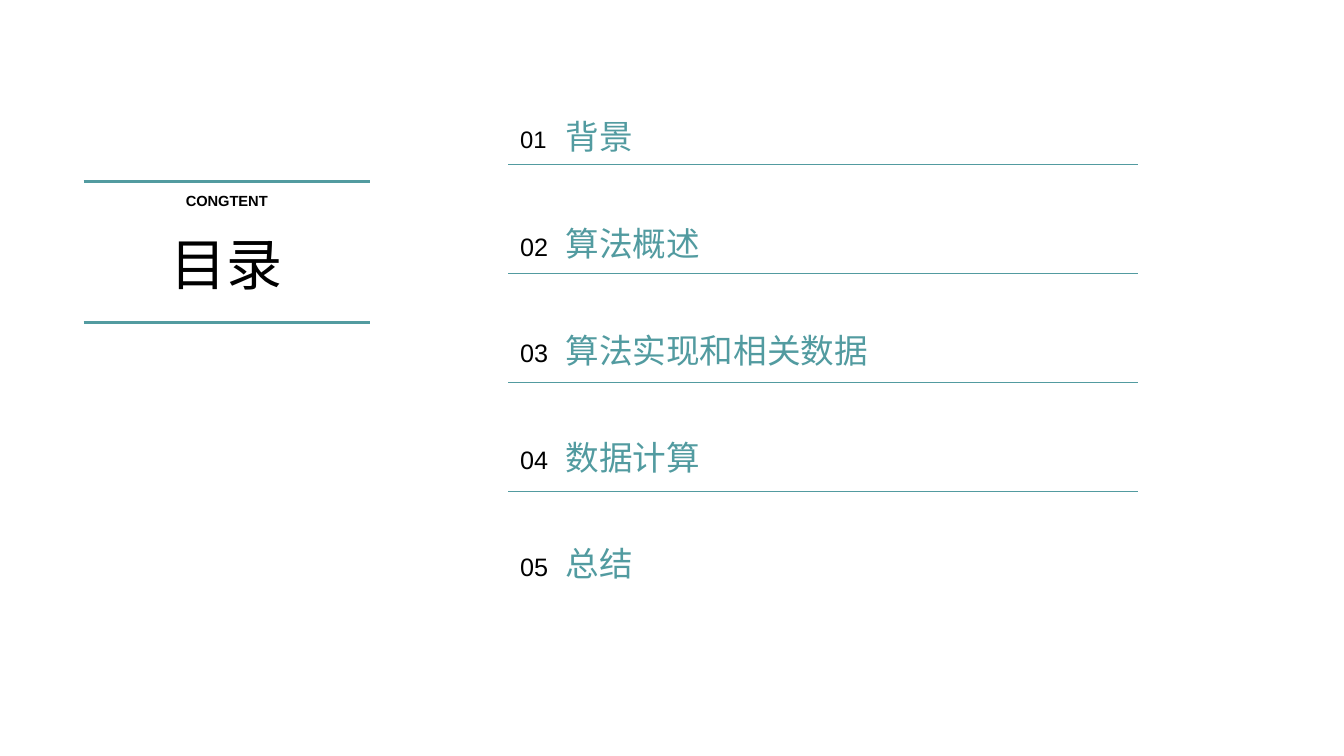
from pptx import Presentation
from pptx.dml.color import RGBColor
from pptx.enum import shapes, text
from pptx.oxml import ns, parse_xml
from pptx.util import Inches, Pt

COLOURS = {"teal": "529BA0", "black": "000000"}
FONT = "Arial"
TOPICS = ["背景", "算法概述", "算法实现和相关数据", "数据计算", "总结"]
TEXT_STEP = 1.06
RULE_STEP = 1.08

deck = Presentation()
deck.slide_width, deck.slide_height = Inches(13.33), Inches(7.5)
page = deck.slides.add_slide(deck.slide_layouts[5])


def write(words, at, size, colour="black", bold=False, align=text.PP_ALIGN.LEFT,
          anchor=text.MSO_ANCHOR.TOP, margins=(0, 0), box=None):
    """Write words in the given box, or in a new text box, placed at `at`."""
    left, top, width, height = [Inches(value) for value in at]
    if box is None:
        box = page.shapes.add_textbox(left, top, width, height)
    box.left, box.top, box.width, box.height = left, top, width, height
    frame = box.text_frame
    frame.word_wrap = True
    frame.auto_size = text.MSO_AUTO_SIZE.NONE
    frame.vertical_anchor = anchor
    frame.margin_left = frame.margin_right = Inches(margins[0])
    frame.margin_top = frame.margin_bottom = Inches(margins[1])
    para = frame.paragraphs[0]
    para.alignment = align
    span = para.add_run()
    span.text = words
    span.font.name, span.font.size, span.font.bold = FONT, Pt(size), bold
    span.font.color.rgb = RGBColor.from_string(COLOURS[colour])


def rule(left, right, top, weight):
    """Draw a horizontal teal line without a shadow."""
    line = page.shapes.add_connector(shapes.MSO_CONNECTOR.STRAIGHT, Inches(left),
                                     Inches(top), Inches(right), Inches(top))
    line.line.color.rgb = RGBColor.from_string(COLOURS["teal"])
    line.line.width = Pt(weight)
    line._element.spPr.append(parse_xml(f"<a:effectLst {ns.nsdecls('a')}/>"))


# Heading between two thick rules
write("目录", (0.81, 2.16, 2.87, 0.9), 40, align=text.PP_ALIGN.CENTER,
      anchor=text.MSO_ANCHOR.MIDDLE, box=page.shapes.title)
write("CONGTENT", (1.68, 1.85, 1.14, 0.28), 10.5, bold=True,
      align=text.PP_ALIGN.CENTER, margins=(0.1, 0.05))
rule(0.83, 3.67, 1.8, 1.75)
rule(0.83, 3.67, 3.2, 2.5)

# Numbered topics, with a thin rule after each but the last
for index, topic in enumerate(TOPICS):
    shift = index * TEXT_STEP
    write(f"{index + 1:02d}", (5.16, 1.24 + shift, 0.3, 0.28),
          17 if index == 0 else 18, anchor=text.MSO_ANCHOR.MIDDLE)
    write(topic, (5.61, 1.15 + shift, 4.6, 0.47), 24, colour="teal")
    if index < len(TOPICS) - 1:
        rule(5.04, 11.29, 1.63 + index * RULE_STEP, 0.5)

deck.save("out.pptx")
